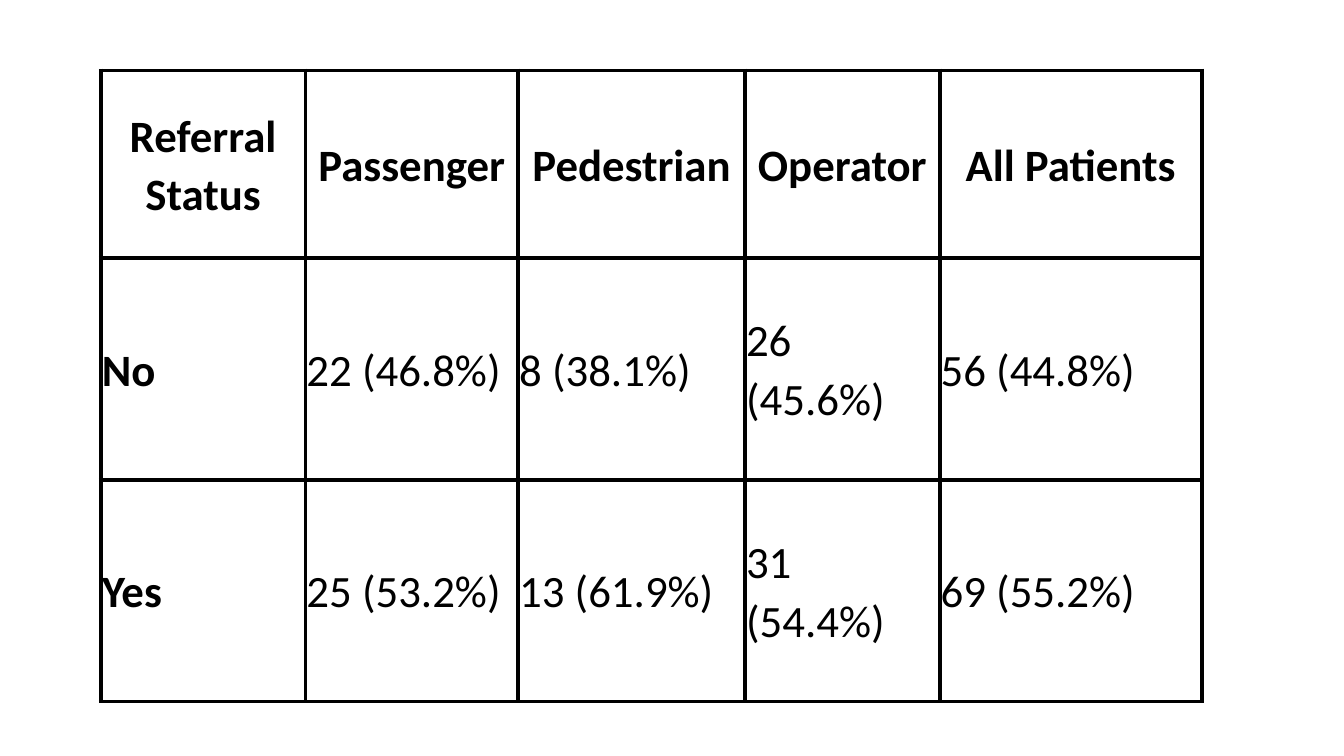
from lxml import etree
from pptx import Presentation
from pptx.dml.color import RGBColor
from pptx.enum.text import MSO_ANCHOR, PP_ALIGN
from pptx.oxml.ns import qn
from pptx.util import Inches, Pt

MIDDLE = MSO_ANCHOR.MIDDLE
CENTER, LEFT = PP_ALIGN.CENTER, PP_ALIGN.LEFT
BLACK, WHITE = "000000", "FFFFFF"
WIDTHS = [2.03, 2.11, 2.25, 1.93, 2.6]
HEIGHTS = [1.86, 2.2, 2.2]
ROWS = [
    ["Referral Status", "Passenger", "Pedestrian", "Operator", "All Patients"],
    ["No", "22 (46.8%)", "8 (38.1%)", "26 (45.6%)", "56 (44.8%)"],
    ["Yes", "25 (53.2%)", "13 (61.9%)", "31 (54.4%)", "69 (55.2%)"],
]


def color(code):
    return RGBColor.from_string(code)


def border(cell):
    props = cell._tc.get_or_add_tcPr()
    for side in ("lnL", "lnR", "lnT", "lnB"):
        line = etree.SubElement(props, qn(f"a:{side}"), w=str(Pt(3)))
        fill = etree.SubElement(line, qn("a:solidFill"))
        etree.SubElement(fill, qn("a:srgbClr"), val=BLACK)


deck = Presentation()
deck.slide_width = Inches(13.33)
deck.slide_height = Inches(7.5)
slide = deck.slides.add_slide(deck.slide_layouts[6])

frame = slide.shapes.add_table(
    len(ROWS), len(WIDTHS), Inches(1), Inches(0.7),
    Inches(sum(WIDTHS)), Inches(sum(HEIGHTS)))
table = frame.table
for column, width in zip(table.columns, WIDTHS):
    column.width = Inches(width)
for row, height in zip(table.rows, HEIGHTS):
    row.height = Inches(height)

for r, texts in enumerate(ROWS):
    for c, text in enumerate(texts):
        cell = table.cell(r, c)
        border(cell)
        cell.fill.solid()
        cell.fill.fore_color.rgb = color(WHITE)
        cell.vertical_anchor = MIDDLE
        cell.margin_left = cell.margin_right = Inches(0.01)
        cell.margin_top = cell.margin_bottom = Inches(0.01)
        cell.text_frame.text = text
        para = cell.text_frame.paragraphs[0]
        para.alignment = CENTER if r == 0 else LEFT
        para.line_spacing = 1.07
        font = para.runs[0].font
        font.name = "Calibri"
        font.size = Pt(32)
        font.bold = r == 0 or c == 0
        font.color.rgb = color(BLACK)

deck.save("out.pptx")
